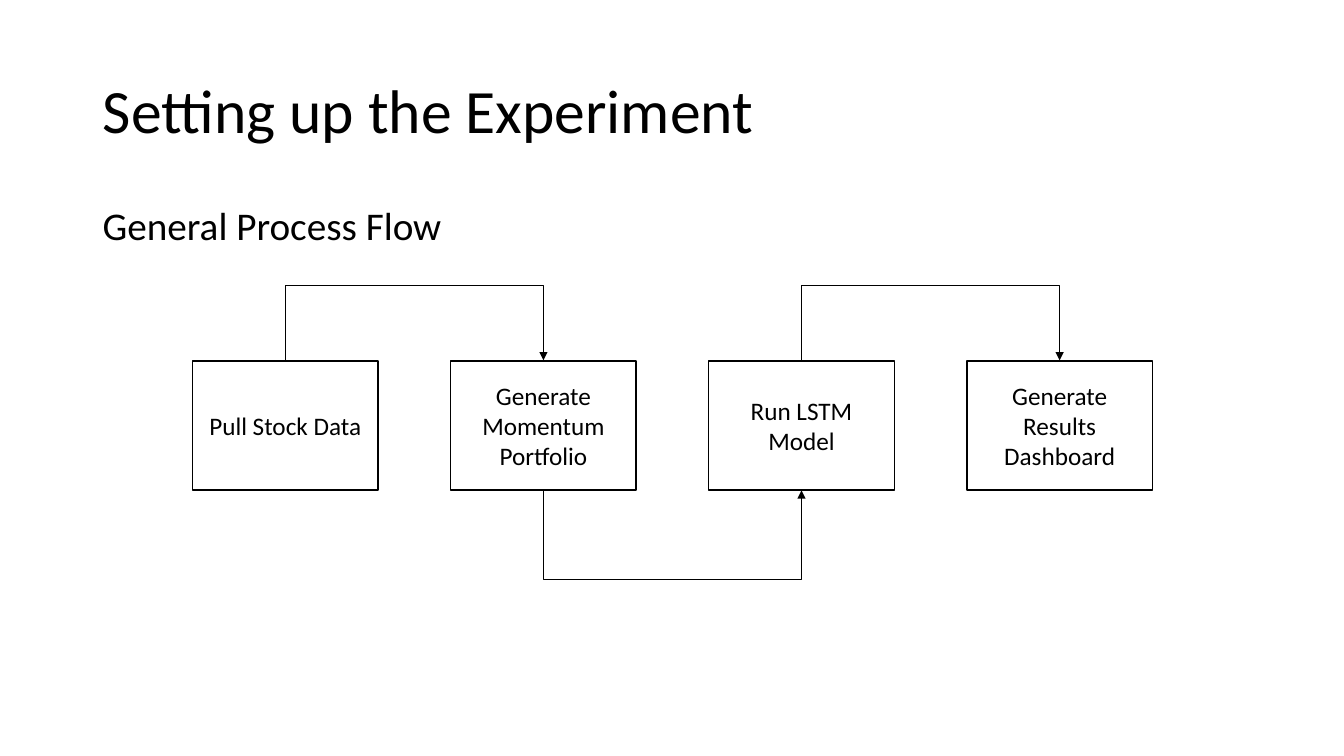
from lxml.etree import SubElement
from pptx import Presentation
from pptx.dml.color import RGBColor
from pptx.enum.shapes import MSO_CONNECTOR, MSO_SHAPE
from pptx.enum.text import MSO_ANCHOR, PP_ALIGN
from pptx.oxml.ns import qn
from pptx.util import Inches, Pt

COLORS = {"ink": "000000", "paper": "FFFFFF"}
STEPS = ["Pull Stock Data", "Generate Momentum Portfolio",
         "Run LSTM Model", "Generate Results Dashboard"]
STEP_WIDTH, STEP_PITCH = 1.84, 2.56
RISE, DROP = 0.77, 0.91  # how far the arrows swing above and below the steps
SLIVER = 0.01  # depth of an arrow's frame, which its adjustment multiplies


def color(name):
    return RGBColor.from_string(COLORS[name])


def write(frame, text, size, align, anchor, **spacing):
    frame.word_wrap = True
    frame.vertical_anchor = anchor
    paragraph = frame.paragraphs[0]
    paragraph.text = text
    paragraph.alignment = align
    for name, value in spacing.items():
        setattr(paragraph, name, value)
    for name, value in {"name": "Calibri", "size": Pt(size)}.items():
        setattr(paragraph.font, name, value)
    paragraph.font.color.rgb = color("ink")


def add_heading(slide, left, top, width, height):
    title = slide.shapes.title
    box = {"left": left, "top": top, "width": width, "height": height}
    for name, value in box.items():
        setattr(title, name, Inches(value))
    write(title.text_frame, "Setting up the Experiment", 44,
          PP_ALIGN.LEFT, MSO_ANCHOR.MIDDLE, line_spacing=0.9)


def add_subheading(slide, left, top, width, height):
    subheading = slide.shapes.add_textbox(
        Inches(left), Inches(top), Inches(width), Inches(height))
    write(subheading.text_frame, "General Process Flow", 28, PP_ALIGN.LEFT,
          MSO_ANCHOR.TOP, line_spacing=0.9, space_before=Pt(10))


def add_step(slide, text, left, top, width, height):
    step = slide.shapes.add_shape(
        MSO_SHAPE.RECTANGLE, Inches(left), Inches(top), Inches(width), Inches(height))
    step.shadow.inherit = False
    step.fill.solid()
    step.fill.fore_color.rgb = color("paper")
    step.line.color.rgb = color("ink")
    step.line.width = Pt(1)
    write(step.text_frame, text, 18, PP_ALIGN.CENTER, MSO_ANCHOR.MIDDLE)


def add_arrow(slide, start, y, span, above):
    """Bent arrow from (start, y) to (start + span, y), above or below y."""
    middle = start + span / 2
    left, right = middle - SLIVER / 2, middle + SLIVER / 2
    top, bottom = y - span / 2, y + span / 2
    begin_y, end_y = (bottom, top) if above else (top, bottom)
    arrow = slide.shapes.add_connector(
        MSO_CONNECTOR.ELBOW, Inches(right), Inches(begin_y), Inches(left), Inches(end_y))
    arrow.line.color.rgb = color("ink")
    arrow.line.width = Pt(0.5)

    # Turn the frame upright, set the swing, add the head, drop the shadow
    properties = arrow._element.spPr
    quarter_turns = 1 if above else 3
    properties.find(qn("a:xfrm")).set("rot", str(quarter_turns * 90 * 60000))
    adjustments = properties.find(qn("a:prstGeom")).find(qn("a:avLst"))
    swing = round((RISE if above else DROP) / SLIVER * 100000)
    SubElement(adjustments, qn("a:gd"), name="adj1", fmla=f"val {swing}")
    SubElement(properties.find(qn("a:ln")), qn("a:tailEnd"), type="triangle")
    SubElement(properties, qn("a:effectLst"))


def add_flow(slide, left, top, height):
    for index, text in enumerate(STEPS):
        add_step(slide, text, left + index * STEP_PITCH, top, STEP_WIDTH, height)
    # Arrows alternate above and below the row
    for index in range(len(STEPS) - 1):
        above = index % 2 == 0
        start = left + index * STEP_PITCH + STEP_WIDTH / 2
        add_arrow(slide, start, top if above else top + height, STEP_PITCH, above)


def main():
    deck = Presentation()
    deck.slide_width, deck.slide_height = Inches(13.33), Inches(7.5)
    slide = deck.slides.add_slide(deck.slide_layouts[5])
    add_heading(slide, 0.92, 0.4, 11.5, 1.45)
    add_subheading(slide, 0.92, 2, 11.5, 4.76)
    add_flow(slide, 1.91, 3.58, 1.28)
    deck.save("out.pptx")


if __name__ == "__main__":
    main()
